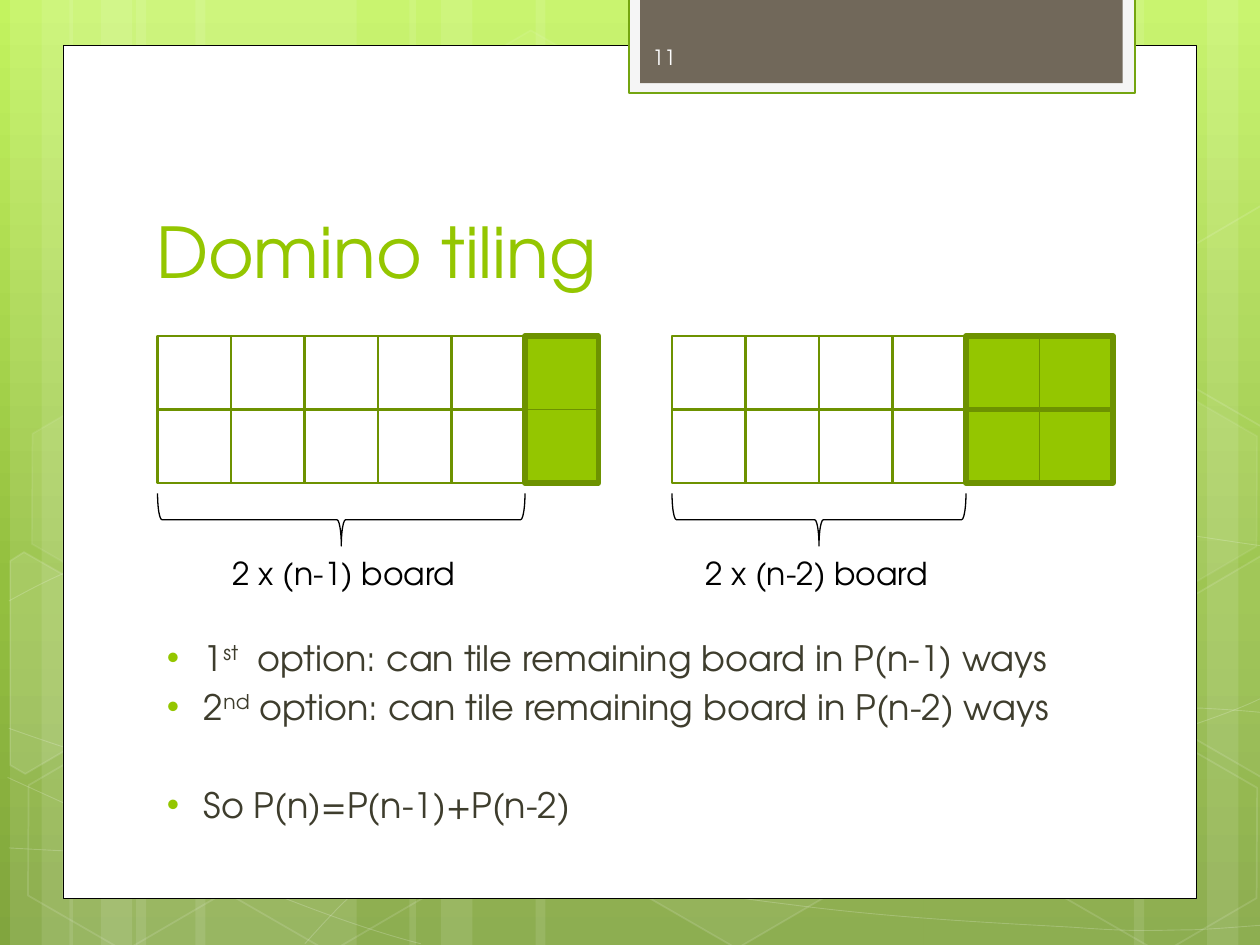
"""Build the domino tiling slide."""
from copy import deepcopy
from dataclasses import dataclass
from math import cos, radians, sin

from lxml import etree
from pptx import Presentation
from pptx import util as u
from pptx.dml.color import RGBColor
from pptx.enum import shapes, text
from pptx.oxml.ns import qn


@dataclass(frozen=True)
class Theme:
    font: str = "TeX Gyre Adventor"
    green: str = "94C600"
    edge: str = "6D9200"
    body: str = "3E3D2D"
    black: str = "000000"
    white: str = "FFFFFF"
    tab_frame: str = "F5F5F5"
    tab_edge: str = "74A510"
    tab: str = "71685A"
    number: str = "FEFEFE"
    sky: tuple = ((0, "C3F35F"), (0.62, "93BF3F"), (1, "81A53E"))
    title_size: int = 40
    body_size: int = 20
    label_size: int = 18
    number_size: int = 12


THEME = Theme()
WIDTH, HEIGHT = 10, 7.5
UNIT = WIDTH / 120
CELL = 7 * UNIT
ROWS = 2
BOARD_TOP = 32 * UNIT
BRACE_TOP, BRACE_DEPTH = 47 * UNIT, 5 * UNIT
LABEL_TOP, LABEL_WIDTH, LABEL_HEIGHT = 4.35, 24 * UNIT, 0.4
TILT = 30

TITLE = "Domino tiling"
NUMBER = "11"
BOARDS = [
    dict(left=15, free=5, label="2 x (n-1) board", label_left=21, dominoes=[(5, 0, 1, 2)]),
    dict(left=64, free=4, label="2 x (n-2) board", label_left=66,
         dominoes=[(4, 1, 2, 1), (4, 0, 2, 1)]),
]
OPTIONS = [
    (("1", "st", "  option: can tile remaining board in P(n-1) ways"), 4),
    (("2", "nd", " option: can tile remaining board in P(n-2) ways"), 4),
    (("So P(n)=P(n-1)+P(n-2)",), 32),
]

BANDS = [(1.08, 1.75), (0.08, 0.5), (0.33, 0.83), (1.55, 1.75), (0.55, 0.5), (0.8, 0.83),
         (7.33, 1.75), (9.58, 0.5), (9, 0.83), (4.25, 3.08), (3.25, 0.5), (3.5, 0.83)]
CURVES = [
    [(0.07, 6.73), (0.61, 6.76), (1.15, 6.79), (1.9, 6.78), (2.65, 6.77), (3.58, 6.75),
     (4.58, 6.65), (5.58, 6.55), (7, 6.36), (7.92, 6.17), (8.83, 5.98), (9.77, 5.68),
     (10.07, 5.51)],
    [(0.07, 4.77), (0.36, 4.61), (0.65, 4.46), (1.21, 4.31), (1.78, 4.16), (2.59, 3.94),
     (3.47, 3.87), (4.36, 3.8), (5.44, 3.79), (6.54, 3.87), (7.64, 3.95), (9.47, 4.26),
     (10.07, 4.34)],
    [(0.06, 6.17), (1.27, 6.72), (2.47, 7.27), (3.34, 7.49)],
    [(0.07, 5.78), (0.38, 5.89), (0.7, 6), (1.28, 6.16), (1.86, 6.31), (2.73, 6.56),
     (3.57, 6.73), (4.4, 6.9), (5.45, 7.08), (6.28, 7.18), (7.11, 7.29), (8, 7.33),
     (8.53, 7.36), (9.05, 7.4), (9.19, 7.38), (9.45, 7.38), (9.71, 7.37), (9.89, 7.35),
     (10.07, 7.34)],
    [(2.42, 7.49), (2.6, 7.29), (2.78, 7.09), (3.02, 6.91), (3.26, 6.73), (3.6, 6.53),
     (3.88, 6.39), (4.16, 6.25), (4.33, 6.19), (4.7, 6.09), (5.06, 5.99), (5.73, 5.85),
     (6.08, 5.78), (6.44, 5.71), (6.49, 5.71), (6.8, 5.69), (7.11, 5.66), (7.6, 5.63),
     (7.94, 5.62), (8.29, 5.61), (8.86, 5.62), (8.86, 5.62), (9.08, 5.62), (9.3, 5.62),
     (9.53, 5.62), (9.71, 5.63), (9.88, 5.64), (10.06, 5.66)],
]
HEXAGONS = [(3.34, 0.36, 4, 8), (4.97, 5.89, 6, 12), (0.11, 5.91, 0, 12), (0.14, 3.12, 7, 8),
            (1.74, 5.92, 0, 12), (8.34, 5.93, 0, 12), (8.34, 3.14, 7, 8)]
CUT_HEXAGONS = [
    ([(0.08, 4.45), (0.19, 4.38), (0.96, 4.82), (0.95, 5.7), (0.2, 6.14), (0.08, 6.07)],
     (0.36, 5.35), 10),
    ([(9.26, 4.85), (10.01, 4.41), (10.09, 4.46), (10.09, 6.13), (10.02, 6.17),
      (9.26, 5.73)], (9.85, 5.2), 4),
    ([(9.26, 2.07), (10.01, 1.63), (10.1, 1.68), (10.09, 3.35), (10.02, 3.39),
      (9.26, 2.95)], (9.85, 2.41), 0),
]


def paint(shape, fill=None, line=None, weight=1.0, fill_alpha=100, line_alpha=100):
    shape.shadow.inherit = False
    alphas = []
    if fill:
        shape.fill.solid()
        shape.fill.fore_color.rgb = RGBColor.from_string(fill)
        alphas.append(fill_alpha)
    else:
        shape.fill.background()
    if line:
        shape.line.width = u.Pt(weight)
        shape.line.color.rgb = RGBColor.from_string(line)
        alphas.append(line_alpha)
    else:
        shape.line.fill.background()
    for color, alpha in zip(shape._element.spPr.iter(qn("a:srgbClr")), alphas):
        if alpha < 100:
            etree.SubElement(color, qn("a:alpha"), val=str(alpha * 1000))


def add_preset(page, kind, area, **style):
    shape = page.shapes.add_shape(kind, *map(u.Inches, area))
    paint(shape, **style)
    return shape


def add_rect(page, area, **style):
    return add_preset(page, shapes.MSO_SHAPE.RECTANGLE, area, **style)


def add_outline(page, points, close, **style):
    corners = [(u.Inches(x), u.Inches(y)) for x, y in points]
    builder = page.shapes.build_freeform(*corners[0])
    builder.add_line_segments(corners[1:], close=close)
    shape = builder.convert_to_shape()
    paint(shape, **style)
    return shape


def add_curve(page, points, **style):
    shape = add_outline(page, points, False, **style)
    segments = list(shape._element.iter(qn("a:lnTo")))
    for start in range(0, len(segments), 3):
        curve = etree.Element(qn("a:cubicBezTo"))
        segments[start].addprevious(curve)
        for segment in segments[start:start + 3]:
            curve.append(segment[0])
            segment.getparent().remove(segment)


def turn_back(point, center):
    angle = radians(-TILT)
    x, y = point[0] - center[0], point[1] - center[1]
    return (center[0] + x * cos(angle) - y * sin(angle),
            center[1] + x * sin(angle) + y * cos(angle))


def style_span(span, size, color):
    span.font.name = THEME.font
    span.font.size = u.Pt(size)
    span.font.color.rgb = RGBColor.from_string(color)


def add_text(page, area, words, size, color, anchor=text.MSO_ANCHOR.TOP):
    box = page.shapes.add_textbox(*map(u.Inches, area))
    frame = box.text_frame
    frame.word_wrap = True
    frame.vertical_anchor = anchor
    frame.text = words
    for span in frame.paragraphs[0].runs:
        style_span(span, size, color)
    return frame


def add_bullet(para):
    props = para._p.get_or_add_pPr()
    props.set("marL", str(u.Inches(0.38)))
    props.set("indent", str(u.Inches(-0.3)))
    color = etree.SubElement(props, qn("a:buClr"))
    etree.SubElement(color, qn("a:srgbClr"), val=THEME.green)
    etree.SubElement(props, qn("a:buSzPct"), val="76000")
    etree.SubElement(props, qn("a:buFont"), typeface=THEME.font)
    etree.SubElement(props, qn("a:buChar"), char="•")


def add_options(page):
    frame = add_text(page, (1.14, 5, 8.19, 1.75), "", THEME.body_size, THEME.body)
    for index, (parts, space) in enumerate(OPTIONS):
        para = frame.add_paragraph() if index else frame.paragraphs[0]
        para.space_before = u.Pt(space)
        add_bullet(para)
        for position, part in enumerate(parts):
            span = para.add_run()
            span.text = part
            style_span(span, THEME.body_size, THEME.body)
            if position == 1:
                span.font._element.set("baseline", "30000")


def add_backdrop(page):
    fill = page.background.fill
    fill.gradient()
    stop_list = page._element.find(".//" + qn("a:gsLst"))
    stop_list.append(deepcopy(stop_list[0]))
    for stop, (position, color) in zip(fill.gradient_stops, THEME.sky):
        stop.position = position
        stop.color.rgb = RGBColor.from_string(color)
    fill.gradient_angle = 270
    for left, width in BANDS:
        add_rect(page, (left, 0, width, HEIGHT), fill=THEME.white, fill_alpha=10)
    for points in CURVES:
        add_curve(page, points, line=THEME.white, weight=0.5, line_alpha=20)
    for left, top, alpha, line_alpha in HEXAGONS:
        hexagon = add_preset(page, shapes.MSO_SHAPE.HEXAGON, (left, top, 1.75, 1.52),
                             fill=THEME.white if alpha else None, fill_alpha=alpha,
                             line=THEME.white, line_alpha=line_alpha)
        hexagon.adjustments[0] = 0.285
        hexagon.rotation = TILT
    for points, center, alpha in CUT_HEXAGONS:
        corners = [turn_back(point, center) for point in points]
        hexagon = add_outline(page, corners, True, fill=THEME.white if alpha else None,
                              fill_alpha=alpha, line=THEME.white, line_alpha=12)
        hexagon.rotation = TILT
    add_rect(page, (0.5, 0.36, 9, 6.77), fill=THEME.white, line=THEME.black, weight=0.5)
    add_rect(page, (4.99, -0.02, 4.02, 0.76), fill=THEME.tab_frame, line=THEME.tab_edge,
             weight=1.25)
    add_rect(page, (5.08, -0.02, 3.83, 0.68), fill=THEME.tab)


def add_cells(page, left, column, row, width, height, **style):
    for x in range(column, column + width):
        for y in range(row, row + height):
            add_rect(page, (left + x * CELL, BOARD_TOP + y * CELL, CELL, CELL), **style)


def add_board(page, board):
    left, span = board["left"] * UNIT, board["free"] * CELL
    add_cells(page, left, 0, 0, board["free"], ROWS, line=THEME.edge, weight=1.25)
    for column, row, width, height in board["dominoes"]:
        add_cells(page, left, column, row, width, height,
                  fill=THEME.green, line=THEME.edge, weight=0.25)
        add_rect(page, (left + column * CELL, BOARD_TOP + row * CELL, width * CELL,
                        height * CELL), line=THEME.edge, weight=3)
    area = (left + (span - BRACE_DEPTH) / 2, BRACE_TOP + (BRACE_DEPTH - span) / 2,
            BRACE_DEPTH, span)
    brace = add_preset(page, shapes.MSO_SHAPE.RIGHT_BRACE, area, line=THEME.black, weight=0.75)
    brace.rotation = 90
    add_text(page, (board["label_left"] * UNIT, LABEL_TOP, LABEL_WIDTH, LABEL_HEIGHT),
             board["label"], THEME.label_size, THEME.black)


def main():
    deck = Presentation()
    deck.slide_width, deck.slide_height = u.Inches(WIDTH), u.Inches(HEIGHT)
    page = deck.slides.add_slide(deck.slide_layouts[6])
    add_backdrop(page)
    add_text(page, (1.14, 1.12, 7.68, 1.25), TITLE, THEME.title_size, THEME.green,
             text.MSO_ANCHOR.BOTTOM)
    add_options(page)
    add_text(page, (5.08, 0.25, 1.46, 0.4), NUMBER, THEME.number_size, THEME.number,
             text.MSO_ANCHOR.MIDDLE)
    for board in BOARDS:
        add_board(page, board)
    deck.save("out.pptx")


if __name__ == "__main__":
    main()
